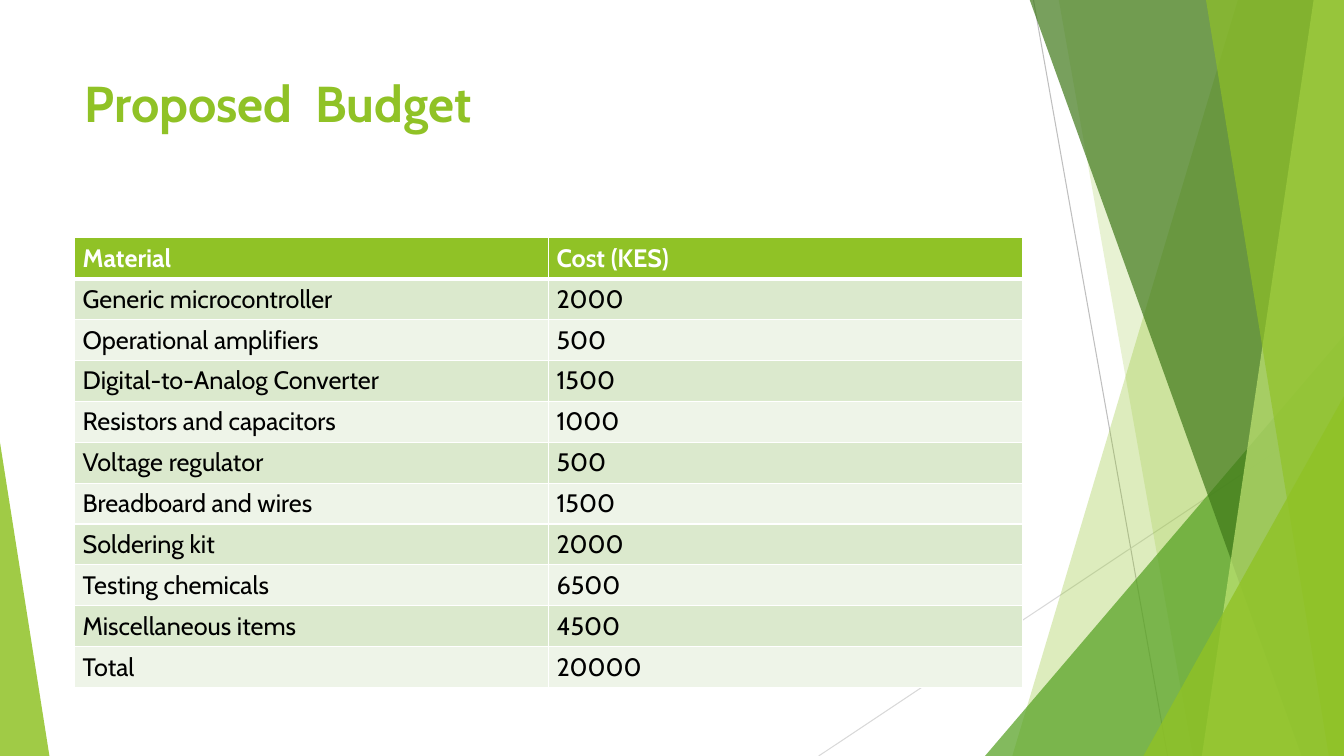
from lxml import etree
from pptx import Presentation
from pptx.dml.color import RGBColor
from pptx.enum.shapes import MSO_CONNECTOR, MSO_SHAPE
from pptx.enum.text import MSO_ANCHOR, PP_ALIGN
from pptx.oxml.ns import qn
from pptx.util import Pt

PX = 9144
WIDE, HIGH = 1333, 750
STRAIGHT = MSO_CONNECTOR.STRAIGHT
TRIANGLE = MSO_SHAPE.ISOSCELES_TRIANGLE
TOP, LEFT = MSO_ANCHOR.TOP, PP_ALIGN.LEFT
FONT = "Cabin"

COLOURS = {
    "lime": "90C226", "green": "54A021", "dark": "3F7819", "pale": "C0E474",
    "band": "DBE9CD", "light": "EEF4E8", "grey": "BFBFBF", "mist": "D9D9D9",
    "white": "FFFFFF", "black": "000000",
}

TITLE = "Proposed  Budget"
TITLE_BOX = (74, 67, 940, 144)
TABLE_BOX = (74, 236, 940, 446)
ROWS = [
    ("Material", "Cost (KES)"),
    ("Generic microcontroller", "2000"),
    ("Operational amplifiers", "500"),
    ("Digital-to-Analog Converter", "1500"),
    ("Resistors and capacitors", "1000"),
    ("Voltage regulator", "500"),
    ("Breadboard and wires", "1500"),
    ("Soldering kit", "2000"),
    ("Testing chemicals", "6500"),
    ("Miscellaneous items", "4500"),
    ("Total", "20000"),
]

LINES = [
    ((1025, 0, 1158, HIGH), "grey"),
    ((WIDE, 403, 812, HIGH), "mist"),
]
SHARDS = [
    ("band", (1228, 1004), "lime", 30),
    ("band", (1050, 1183), "lime", 20),
    ("peak", (977, 333, 356, 417, 1), "green", 72),
    ("band", (1021, 1291), "dark", 70),
    ("band", (1303, 1192), "pale", 70),
    ("band", (1196, 1318), "lime", 65),
    ("peak", (1134, 393, 199, 357, 1), "lime", 80),
    ("peak", (0, 439, 49, 311, 0), "lime", 85),
]


def emu(box):
    return [n * PX for n in box]


def rgb(name):
    return RGBColor.from_string(COLOURS[name])


def write(frame, text, size=18, colour="black", bold=False):
    par = frame.paragraphs[0]
    par.alignment = LEFT
    run = par.add_run()
    run.text = text
    font = run.font
    font.name, font.size, font.bold = FONT, Pt(size), bold
    font.color.rgb = rgb(colour)


def draw_line(slide, ends, colour):
    line = slide.shapes.add_connector(STRAIGHT, *emu(ends))
    line.line.color.rgb = rgb(colour)
    line.line.width = Pt(0.75)
    etree.SubElement(line._element.spPr, qn("a:effectLst"))


def draw_shard(slide, kind, spec, colour, alpha):
    if kind == "band":
        top, foot = spec
        pen = slide.shapes.build_freeform(top, -1, scale=PX)
        pen.add_line_segments([(WIDE, -1), (WIDE, HIGH), (foot, HIGH)], close=True)
        shape = pen.convert_to_shape()
    else:
        *box, apex = spec
        shape = slide.shapes.add_shape(TRIANGLE, *emu(box))
        shape.adjustments[0] = apex
    shape.shadow.inherit = False
    shape.line.fill.background()
    shape.fill.solid()
    shape.fill.fore_color.rgb = rgb(colour)
    tint = shape._element.spPr.find(qn("a:solidFill"))[0]
    etree.SubElement(tint, qn("a:alpha"), val=str(alpha * 1000))


def edge(cell, side, width):
    props = cell._tc.get_or_add_tcPr()
    line = etree.SubElement(props, qn("a:ln" + side), w=str(Pt(width)))
    fill = etree.SubElement(line, qn("a:solidFill"))
    etree.SubElement(fill, qn("a:srgbClr"), val=COLOURS["white"])


def draw_table(slide):
    table = slide.shapes.add_table(len(ROWS), len(ROWS[0]), *emu(TABLE_BOX)).table
    for r, row in enumerate(ROWS):
        head = r == 0
        back = "lime" if head else ("light", "band")[r % 2]
        for c, text in enumerate(row):
            cell = table.cell(r, c)
            cell.margin_left = cell.margin_right = 8 * PX
            cell.margin_top = cell.margin_bottom = 5 * PX
            for side in "LRTB":
                thick = (r, side) in ((0, "B"), (1, "T"))
                edge(cell, side, 3 if thick else 1)
            cell.fill.solid()
            cell.fill.fore_color.rgb = rgb(back)
            write(cell.text_frame, text, bold=head,
                  colour="white" if head else "black")


def main():
    deck = Presentation()
    deck.slide_width, deck.slide_height = emu((WIDE, HIGH))
    slide = deck.slides.add_slide(deck.slide_layouts[5])
    for ends, colour in LINES:
        draw_line(slide, ends, colour)
    for shard in SHARDS:
        draw_shard(slide, *shard)
    title = slide.shapes.title
    title.left, title.top, title.width, title.height = emu(TITLE_BOX)
    title.text_frame.vertical_anchor = TOP
    write(title.text_frame, TITLE, size=36, colour="lime", bold=True)
    draw_table(slide)
    deck.save("out.pptx")


if __name__ == "__main__":
    main()
